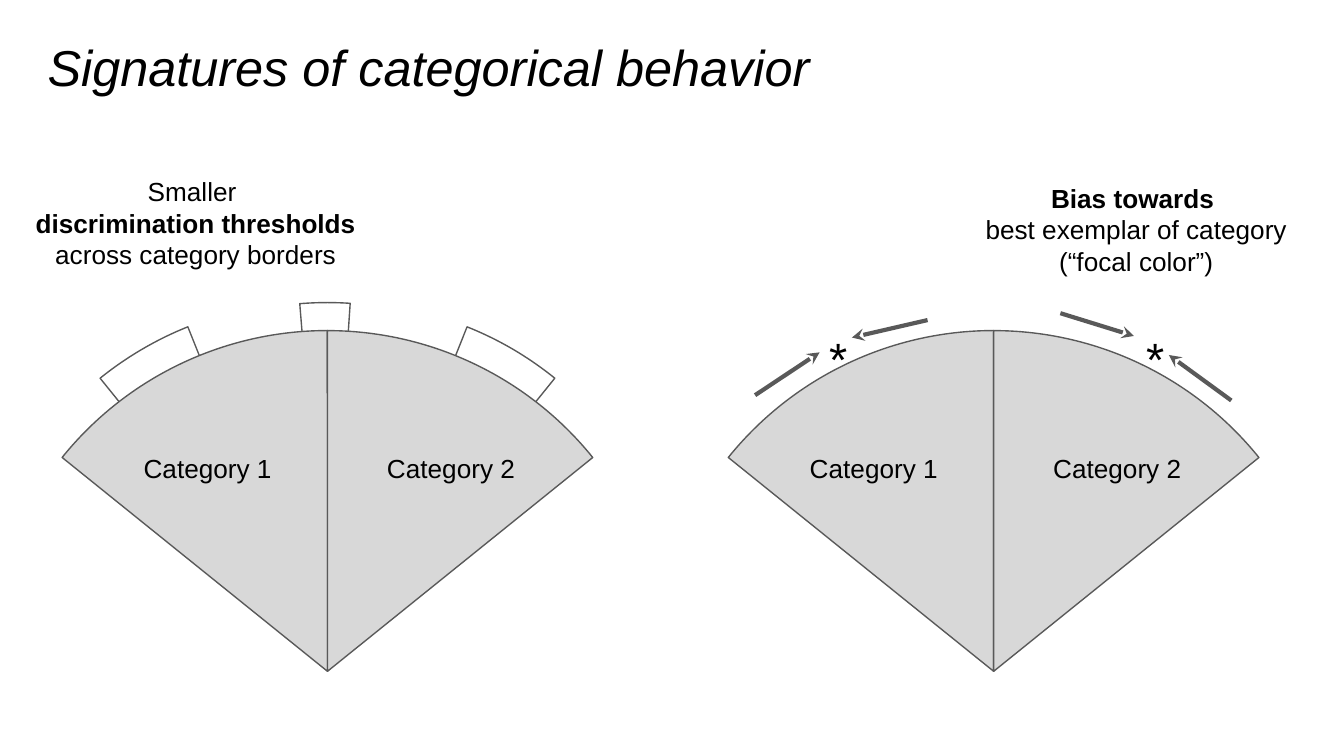
from pptx import Presentation
from pptx.dml.color import RGBColor
from pptx.enum.shapes import MSO_CONNECTOR, MSO_SHAPE
from pptx.enum.text import MSO_ANCHOR, MSO_AUTO_SIZE, PP_ALIGN
from pptx.oxml.ns import qn
from pptx.util import Cm, Pt
from lxml import etree

PIE = MSO_SHAPE.PIE
STRAIGHT = MSO_CONNECTOR.STRAIGHT
CENTER, LEFT = PP_ALIGN.CENTER, PP_ALIGN.LEFT
TOP, MIDDLE = MSO_ANCHOR.TOP, MSO_ANCHOR.MIDDLE
GROW = MSO_AUTO_SIZE.SHAPE_TO_FIT_TEXT

COLORS = {"text": "000000", "outline": "595959", "category": "D8D8D8", "band": "FFFFFF"}
FONT = "Arial"
DIAMETER = 12.88
CATEGORY_ARC = (218.87, 270)
WIDE_ARC = (231.07, 248.23)
NARROW_ARC = (265.34, 273.83)
BAND_RISE = 0.53
BAND_SHIFT = 0.25


def color(name):
    return RGBColor.from_string(COLORS[name])


def mirrored(arc):
    start, end = arc
    return 540 - end, 540 - start


def add_text(page, paragraphs, left, top, width, height, size=14, italic=False,
             align=CENTER, anchor=TOP, wrap=True, inset=(0.25, 0.25), grow=True):
    box = page.shapes.add_textbox(Cm(left), Cm(top), Cm(width), Cm(height))
    frame = box.text_frame
    frame.word_wrap = wrap
    frame.vertical_anchor = anchor
    frame.margin_left = frame.margin_right = Cm(inset[0])
    frame.margin_top = frame.margin_bottom = Cm(inset[1])
    if grow:
        frame.auto_size = GROW
    for index, spans in enumerate(paragraphs):
        para = frame.paragraphs[0] if index == 0 else frame.add_paragraph()
        para.alignment = align
        for text, bold in spans:
            span = para.add_run()
            span.text = text
            span.font.name = FONT
            span.font.size = Pt(size)
            span.font.bold = bold
            span.font.italic = italic
            span.font.color.rgb = color("text")


def add_sector(page, left, top, arc, fill):
    sector = page.shapes.add_shape(PIE, Cm(left), Cm(top), Cm(DIAMETER), Cm(DIAMETER))
    for index, degrees in enumerate(arc):
        sector.adjustments[index] = degrees * 0.6
    sector.shadow.inherit = False
    sector.fill.solid()
    sector.fill.fore_color.rgb = color(fill)
    sector.line.color.rgb = color("outline")
    sector.line.width = Pt(0.75)


def add_arrow(page, start, end):
    arrow = page.shapes.add_connector(STRAIGHT, *(Cm(value) for value in start + end))
    arrow.line.color.rgb = color("outline")
    arrow.line.width = Pt(2.25)
    etree.SubElement(arrow.line._get_or_add_ln(), qn("a:tailEnd"), type="stealth")
    etree.SubElement(arrow._element.spPr, qn("a:effectLst"))


def add_title(page, left, top, width, height):
    add_text(page, [[("Signatures of categorical behavior", False)]], left, top, width, height,
             size=27, italic=True, anchor=MIDDLE, inset=(0.25, 0.13), grow=False)


def add_fan(page, left, top):
    for arc in (CATEGORY_ARC, mirrored(CATEGORY_ARC)):
        add_sector(page, left, top, arc, "category")
    for number, offset in enumerate((2.64, 7.24), start=1):
        add_text(page, [[(f"Category {number}", False)]], left + offset, top + 2.06, 3.07, 1.12)


def add_thresholds(page, left, top):
    for arc, shift in ((NARROW_ARC, 0), (mirrored(WIDE_ARC), BAND_SHIFT), (WIDE_ARC, -BAND_SHIFT)):
        add_sector(page, left + shift, top - BAND_RISE, arc, "band")
    add_fan(page, left, top)
    add_text(page, [[("Smaller ", False)],
                    [("discrimination thresholds ", True), ("across category borders", False)]],
             left + 0.66, top - 3.18, 6.58, 2.31)


def add_bias(page, left, top):
    add_fan(page, left, top)
    add_text(page, [[("Bias towards ", True)],
                    [("best exemplar of category (“focal color”)", False)]],
             left + 5.72, top - 3.05, 6.83, 2.31)
    arrows = (
        ((1.93, 1.22), (3.15, 0.41)),
        ((5.19, -0.2), (3.76, 0.13)),
        ((7.7, -0.33), (9.09, 0.1)),
        ((10.93, 1.32), (9.75, 0.46)),
    )
    for start, end in arrows:
        add_arrow(page, (left + start[0], top + start[1]), (left + end[0], top + end[1]))
    for offset in (3.08, 9.07):
        add_text(page, [[("*", False)]], left + offset, top - 0.15, 0.86, 1.32,
                 size=25, align=LEFT, wrap=False, inset=(0.25, 0.13))


def main():
    deck = Presentation()
    deck.slide_width, deck.slide_height = Cm(25.4), Cm(14.29)
    page = deck.slides.add_slide(deck.slide_layouts[6])
    add_title(page, 0, 0, 16.2, 2.52)
    add_thresholds(page, -0.25, 6.25)
    add_bias(page, 12.34, 6.25)
    deck.save("out.pptx")


if __name__ == "__main__":
    main()
